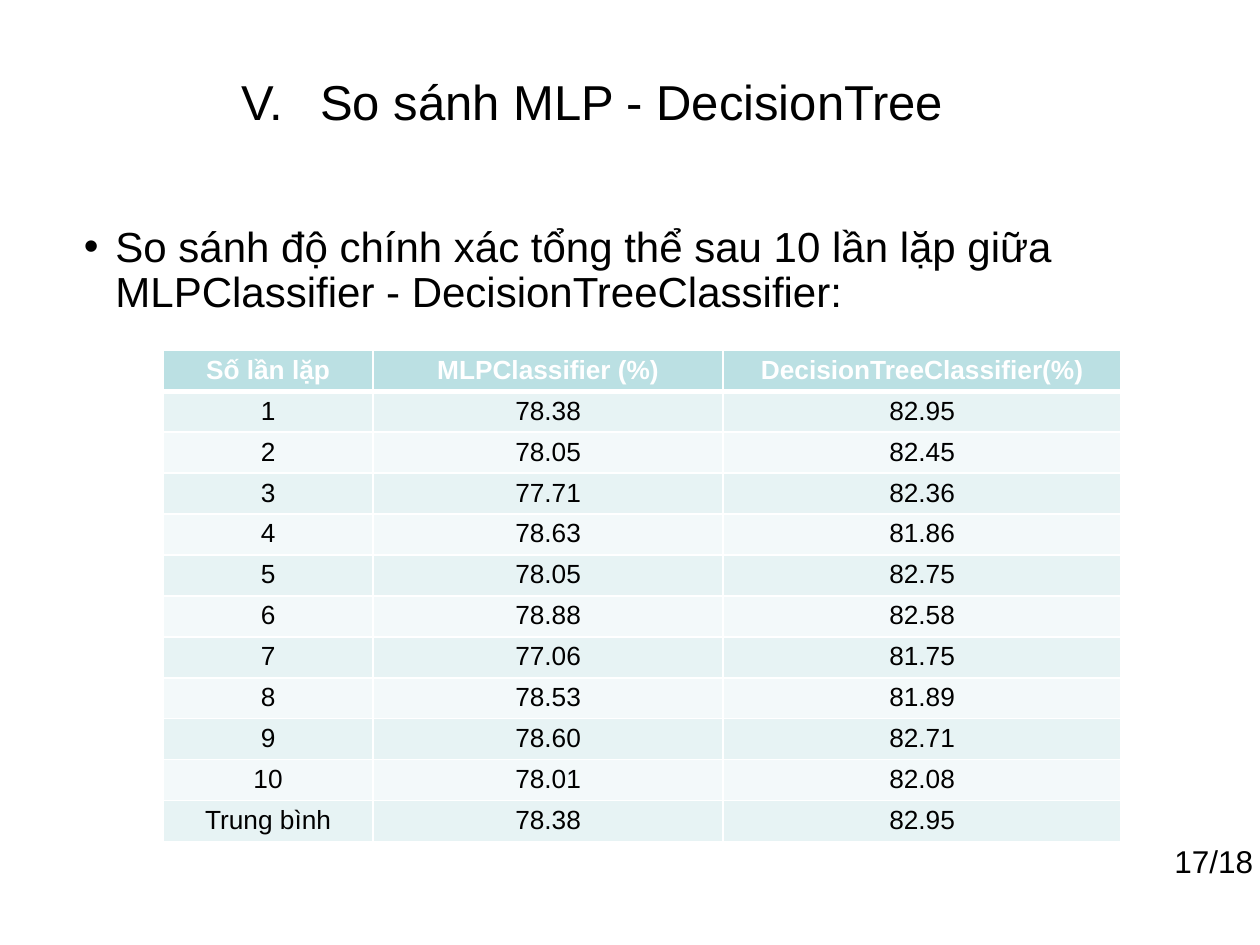
import pptx
import pptx.dml.color
import pptx.enum.text
import pptx.oxml
import pptx.oxml.ns
import pptx.util

Pt = pptx.util.Pt
ALIGN = pptx.enum.text.PP_ALIGN
ANCHOR = pptx.enum.text.MSO_ANCHOR
NS = pptx.oxml.ns.nsdecls("a")
BLACK = pptx.dml.color.RGBColor(0x00, 0x00, 0x00)
WHITE = pptx.dml.color.RGBColor(0xFF, 0xFF, 0xFF)
HEADER = pptx.dml.color.RGBColor(0xBB, 0xE0, 0xE3)
BANDS = [pptx.dml.color.RGBColor(0xF3, 0xF9, 0xFA), pptx.dml.color.RGBColor(0xE7, 0xF3, 0xF4)]


def set_text(tf, text, size, color=BLACK, bold=False, align=ALIGN.LEFT,
             bullet=None, indent=0, before=0, spacing=None):
    p = tf.paragraphs[0]
    p.alignment = align
    if bullet:
        p.line_spacing = spacing
        p.space_before = Pt(before)
        pPr = p._p.get_or_add_pPr()
        pPr.set("marL", str(Pt(indent)))
        pPr.set("indent", str(-Pt(indent)))
        pPr.append(pptx.oxml.parse_xml(f'<a:buFont {NS} typeface="Arial"/>'))
        pPr.append(pptx.oxml.parse_xml(bullet))
    r = p.add_run()
    r.text = text
    r.font.name = "Arial"
    r.font.size = Pt(size)
    r.font.bold = bold
    r.font.color.rgb = color


def add_border(cell, side, width):
    cell._tc.get_or_add_tcPr().append(pptx.oxml.parse_xml(
        f'<a:{side} {NS} w="{Pt(width)}"><a:solidFill><a:srgbClr val="{WHITE}"/>'
        f'</a:solidFill></a:{side}>'))


prs = pptx.Presentation()
prs.slide_width, prs.slide_height = Pt(720), Pt(540)
s = prs.slides.add_slide(prs.slide_layouts[1])
title, body = s.shapes.title, s.placeholders[1]

for sp, box, anchor in [
    (title, (138, 22.5, 558, 74), ANCHOR.MIDDLE),
    (body, (48, 129, 648, 369.5), ANCHOR.TOP),
]:
    sp.left, sp.top, sp.width, sp.height = [Pt(v) for v in box]
    tf = sp.text_frame
    tf.margin_left = tf.margin_top = tf.margin_right = tf.margin_bottom = 0
    tf.word_wrap = True
    tf.auto_size = pptx.enum.text.MSO_AUTO_SIZE.NONE
    tf.vertical_anchor = anchor

set_text(title.text_frame, "So sánh MLP - DecisionTree", 28, indent=45, spacing=0.9,
         bullet=f'<a:buAutoNum {NS} type="romanUcPeriod" startAt="5"/>')
set_text(body.text_frame,
         "So sánh độ chính xác tổng thể sau 10 lần lặp giữa MLPClassifier - DecisionTreeClassifier:",
         24, indent=18, before=10, spacing=0.9, bullet=f'<a:buChar {NS} char="•"/>')

rows = [
    ("Số lần lặp", "MLPClassifier (%)", "DecisionTreeClassifier(%)"),
    ("1", "78.38", "82.95"),
    ("2", "78.05", "82.45"),
    ("3", "77.71", "82.36"),
    ("4", "78.63", "81.86"),
    ("5", "78.05", "82.75"),
    ("6", "78.88", "82.58"),
    ("7", "77.06", "81.75"),
    ("8", "78.53", "81.89"),
    ("9", "78.60", "82.71"),
    ("10", "78.01", "82.08"),
    ("Trung bình", "78.38", "82.95"),
]
widths = [120, 200, 227.5]
row_height = 23.4
table = s.shapes.add_table(len(rows), len(widths), Pt(93.2), Pt(200.2),
                           Pt(sum(widths)), Pt(row_height * len(rows))).table
for column, width in zip(table.columns, widths):
    column.width = Pt(width)
for i, values in enumerate(rows):
    table.rows[i].height = Pt(row_height)
    for j, value in enumerate(values):
        cell = table.cell(i, j)
        cell.margin_left = cell.margin_right = Pt(6)
        cell.margin_top = cell.margin_bottom = Pt(3)
        add_border(cell, "lnL", 1)
        add_border(cell, "lnR", 1)
        add_border(cell, "lnT", 3 if i == 1 else 1)
        add_border(cell, "lnB", 3 if i == 0 else 1)
        cell.fill.solid()
        cell.fill.fore_color.rgb = HEADER if i == 0 else BANDS[i % 2]
        set_text(cell.text_frame, value, 15, color=WHITE if i == 0 else BLACK,
                 bold=i == 0, align=ALIGN.CENTER)

page = s.shapes.add_textbox(Pt(664), Pt(477.5), Pt(60), Pt(29))
page.text_frame.word_wrap = False
page.text_frame.auto_size = pptx.enum.text.MSO_AUTO_SIZE.SHAPE_TO_FIT_TEXT
set_text(page.text_frame, "17/18", 18)

prs.save("out.pptx")
